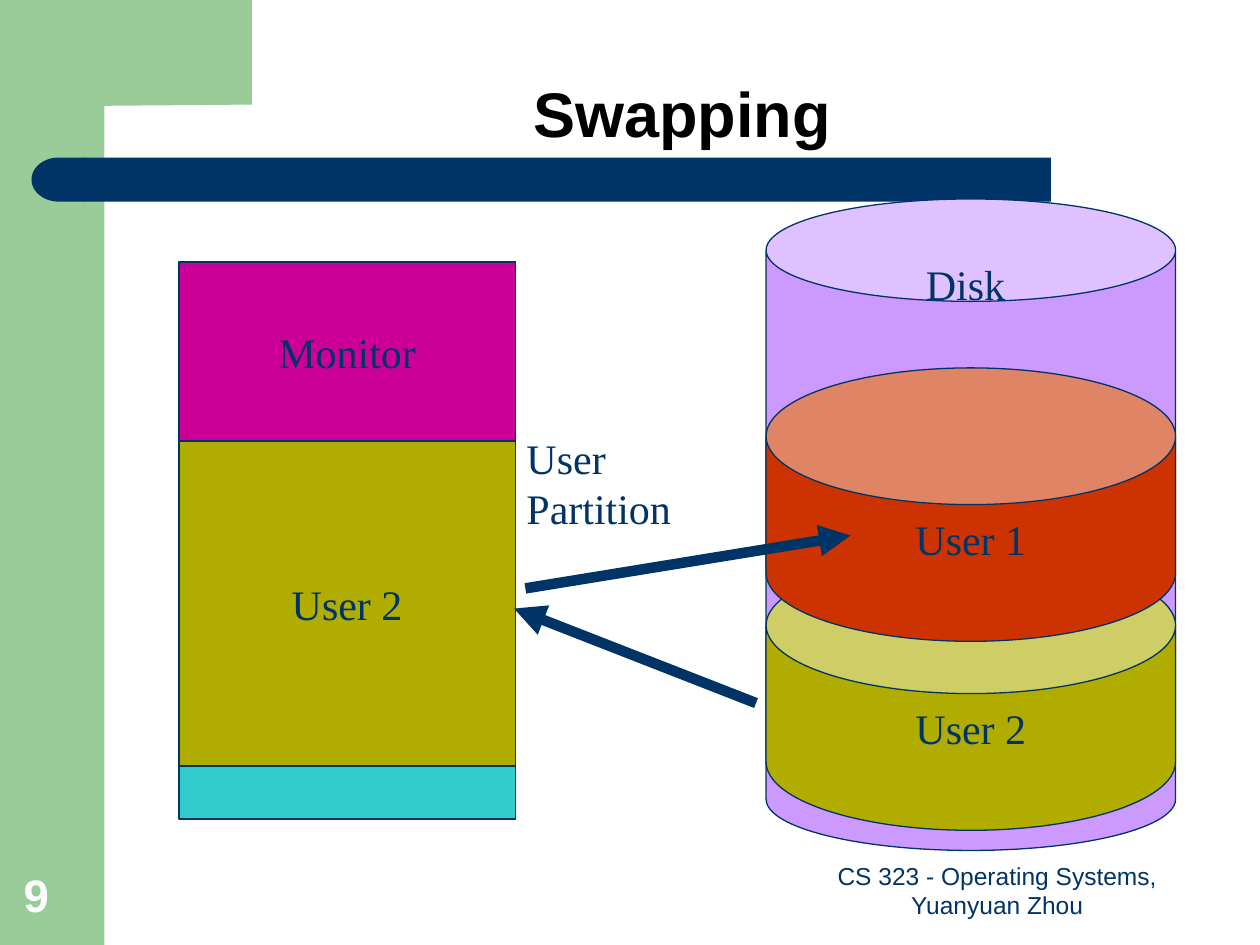
from lxml import etree
from pptx import Presentation
from pptx import util as u
from pptx.dml.color import RGBColor
from pptx.enum import shapes, text
from pptx.oxml.ns import qn

COLORS = {
    "navy": "003366", "green": "99CC99", "magenta": "CC0099", "cyan": "33CCCC",
    "olive": "B0AC00", "lilac": "CC99FF", "red": "CC3300",
    "black": "000000", "white": "FFFFFF",
}
SHAPE = shapes.MSO_SHAPE
ALIGN = text.PP_ALIGN
ANCHOR = text.MSO_ANCHOR


def rgb(name):
    return RGBColor.from_string(COLORS[name])


class Diagram:
    """Draws styled elements on the current slide."""

    def __init__(self, slide):
        self.s = slide

    def paint(self, sp, fill, outlined):
        sp.shadow.inherit = False
        sp.fill.solid()
        sp.fill.fore_color.rgb = rgb(fill)
        if outlined:
            sp.line.color.rgb = rgb("navy")
            sp.line.width = u.Pt(0.75)
        else:
            sp.line.fill.background()

    def set_text(self, sp, lines, size=24, font="Times New Roman", color="navy",
                 bold=False, align=ALIGN.LEFT, anchor=ANCHOR.TOP, wrap=False, spacing=None):
        tf = sp.text_frame
        tf.word_wrap = wrap
        tf.vertical_anchor = anchor
        for i, line in enumerate(lines):
            p = tf.paragraphs[0] if i == 0 else tf.add_paragraph()
            p.text = line
            p.alignment = align
            p.line_spacing = spacing
            p.font.size = u.Pt(size)
            p.font.name = font
            p.font.bold = bold
            p.font.color.rgb = rgb(color)

    def shape(self, kind, box, fill, label=None, adj=None, outlined=True):
        sp = self.s.shapes.add_shape(kind, *map(u.Inches, box))
        self.paint(sp, fill, outlined)
        if adj is not None:
            sp.adjustments[0] = adj
        if label:
            self.set_text(sp, [label], align=ALIGN.CENTER, anchor=ANCHOR.MIDDLE)
        return sp

    def outline(self, points, fill):
        pts = [(u.Inches(x), u.Inches(y)) for x, y in points]
        fb = self.s.shapes.build_freeform(*pts[0])
        fb.add_line_segments(pts[1:], close=True)
        self.paint(fb.convert_to_shape(), fill, False)

    def textbox(self, box, lines, **style):
        self.set_text(self.s.shapes.add_textbox(*map(u.Inches, box)), lines, **style)

    def arrow(self, start, end):
        cx = self.s.shapes.add_connector(
            shapes.MSO_CONNECTOR.STRAIGHT, *map(u.Inches, start + end))
        cx.line.color.rgb = rgb("navy")
        cx.line.width = u.Pt(6)
        sp_pr = cx._element.spPr
        etree.SubElement(sp_pr.find(qn("a:ln")), qn("a:tailEnd"), type="triangle")
        etree.SubElement(sp_pr, qn("a:effectLst"))


def main():
    prs = Presentation()
    prs.slide_width, prs.slide_height = u.Inches(10), u.Inches(7.5)
    d = Diagram(prs.slides.add_slide(prs.slide_layouts[6]))

    d.shape(SHAPE.RECTANGLE, (0, 0, 0.83, 7.5), "green", outlined=False)
    d.outline([(0.5, 0), (2, 0), (2, 0.83), (0.83, 0.84), (0.77, 0.85), (0.71, 0.92),
               (0.68, 1.04), (0.67, 1.16), (0.67, 1.28), (0.5, 1.28)], "green")
    d.shape(SHAPE.ROUNDED_RECTANGLE, (0.67, 1.25, 7.67, 0.35), "navy", adj=0, outlined=False)
    cap = d.shape(SHAPE.FLOWCHART_DELAY, (0.25, 1.25, 0.43, 0.35), "navy", outlined=False)
    cap.rotation = 180
    d.textbox((1.08, 0, 8.67, 1.25), ["Swapping"], size=36, font="Arial", color="black",
              bold=True, align=ALIGN.CENTER, anchor=ANCHOR.BOTTOM, wrap=True, spacing=0.9)

    memory_x, disk_x = 1.42, 6.08
    memory_w, disk_w = 2.67, 3.25
    d.shape(SHAPE.RECTANGLE, (memory_x, 2.08, memory_w, 4.42), "cyan")
    d.shape(SHAPE.RECTANGLE, (memory_x, 2.08, memory_w, 1.42), "magenta", "Monitor")
    d.shape(SHAPE.CAN, (disk_x, 1.58, disk_w, 5.17), "lilac", adj=0.25)
    d.textbox((7.25, 2, 0.83, 0.5), ["Disk"])
    d.shape(SHAPE.CAN, (disk_x, 4.42, disk_w, 2.17), "olive", "User 2", adj=0.5)
    d.shape(SHAPE.RECTANGLE, (memory_x, 3.5, memory_w, 2.58), "olive", "User 2")
    d.arrow((6, 5.58), (4.08, 4.83))
    d.textbox((4.08, 3.38, 1.35, 0.9), ["User", "Partition"])
    d.shape(SHAPE.CAN, (disk_x, 2.92, disk_w, 2.17), "red", "User 1", adj=0.5)
    d.arrow((4.17, 4.67), (6.75, 4.25))

    d.textbox((6.33, 6.83, 3.17, 0.52), ["CS 323 - Operating Systems, Yuanyuan Zhou"],
              size=14, font="Arial", align=ALIGN.CENTER, anchor=ANCHOR.BOTTOM, wrap=True)
    d.textbox((0.09, 6.83, 0.64, 0.53), ["9"], size=26, font="Arial", color="white",
              bold=True, anchor=ANCHOR.BOTTOM, wrap=True)
    prs.save("out.pptx")


if __name__ == "__main__":
    main()
